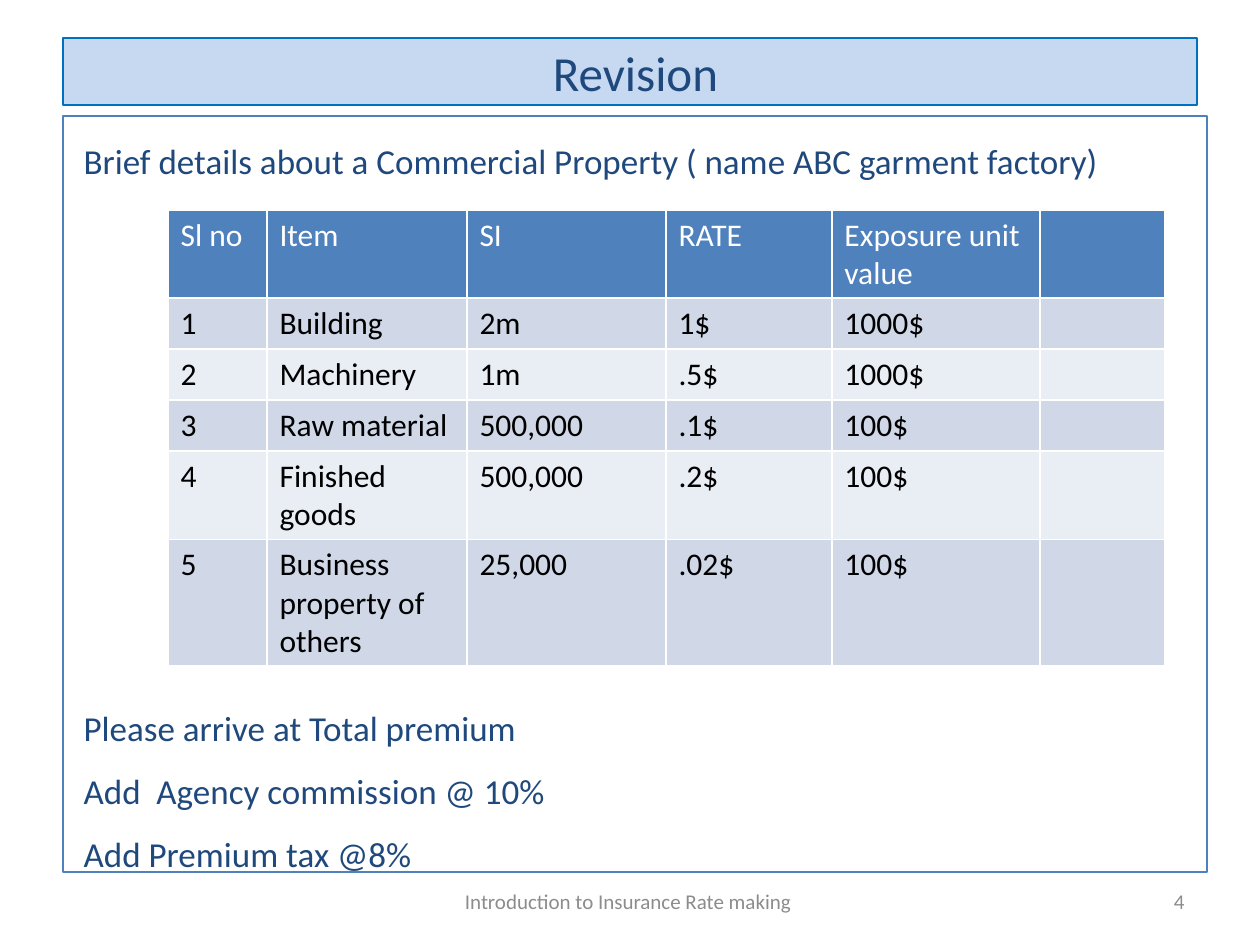
from pptx import Presentation
from pptx.util import Pt
from pptx.dml.color import RGBColor
from pptx.enum.text import PP_ALIGN, MSO_ANCHOR, MSO_AUTO_SIZE
from pptx.oxml.ns import qn
from lxml.etree import SubElement

PX = 914400 // 126
NAVY, BLUE, WHITE, GREY = "1F497D", "4F81BD", "FFFFFF", "8C8C8C"


def color(code):
    """Turn a hex string into a colour."""
    return RGBColor.from_string(code)


def style(frame, size, code, align=PP_ALIGN.LEFT):
    """Format every paragraph and run of a text frame."""
    for para in frame.paragraphs:
        para.alignment = align
        for run in para.runs:
            run.font.name = "Calibri"
            run.font.size = Pt(size)
            run.font.bold = False
            run.font.color.rgb = color(code)


deck = Presentation()
deck.slide_width, deck.slide_height = 1260 * PX, 945 * PX
slide = deck.slides.add_slide(deck.slide_layouts[1])

# Title and body panels
title, body = slide.shapes.title, slide.placeholders[1]
panels = [
    (title, (63, 38, 1134, 67), "0070C0"),
    (body, (63, 116, 1144, 756), BLUE),
]
for panel, box, edge in panels:
    panel.left, panel.top, panel.width, panel.height = [n * PX for n in box]
    panel.line.color.rgb = color(edge)
    panel.line.width = Pt(0.75)
    panel.text_frame.auto_size = MSO_AUTO_SIZE.NONE

title.fill.solid()
title.fill.fore_color.rgb = color("C6D9F1")
title.text_frame.text = " Revision"
title.text_frame.vertical_anchor = MSO_ANCHOR.MIDDLE
style(title.text_frame, 28, NAVY, PP_ALIGN.CENTER)

body.text_frame.text = "\n".join([
    "Brief details about a Commercial Property ( name ABC garment factory)",
    "Please arrive at Total premium",
    "Add  Agency commission @ 10%",
    "Add Premium tax @8%",
])
style(body.text_frame, 20, NAVY)
lines = body.text_frame.paragraphs
for para in lines:
    para.space_before = para.space_after = Pt(6)
    props = para._p.get_or_add_pPr()
    props.set("marL", str(8 * PX))
    props.set("indent", "0")
    SubElement(props, qn("a:buNone"))
lines[0].line_spacing = 1.4
lines[1].space_before = Pt(294)  # room for the table

# Footer
notes = [
    ("4", (903, 876, 294, 50), PP_ALIGN.RIGHT),
    ("Introduction to Insurance Rate making ", (431, 876, 399, 50), PP_ALIGN.CENTER),
]
for text, box, align in notes:
    frame = slide.shapes.add_textbox(*[n * PX for n in box]).text_frame
    frame.word_wrap = True
    frame.vertical_anchor = MSO_ANCHOR.MIDDLE
    frame.text = text
    style(frame, 12, GREY, align)

# Table of insured items
rows = [
    ("Sl no", "Item", "SI", "RATE", "Exposure unit value", ""),
    ("1", "Building", "2m", "1$", "1000$", ""),
    ("2", "Machinery", "1m", ".5$", "1000$", ""),
    ("3", "Raw material", "500,000", ".1$", "100$", ""),
    ("4", "Finished goods", "500,000", ".2$", "100$", ""),
    ("5", "Business property of others", "25,000", ".02$", "100$", ""),
]
widths = [99, 200, 199, 166, 208, 125]
heights = [87, 51, 51, 51, 87, 125]
grid = slide.shapes.add_table(
    len(rows), len(widths), 168 * PX, 210 * PX, sum(widths) * PX, sum(heights) * PX
).table
for col, width in zip(grid.columns, widths):
    col.width = width * PX
for i, (row, height) in enumerate(zip(rows, heights)):
    grid.rows[i].height = height * PX
    band = "D0D8E8" if i % 2 else "E9EDF4"
    for j, text in enumerate(row):
        cell = grid.cell(i, j)
        cell.fill.solid()
        cell.fill.fore_color.rgb = color(band if i else BLUE)
        cell.text_frame.text = text
        style(cell.text_frame, 18, "000000" if i else WHITE)

deck.save("out.pptx")
